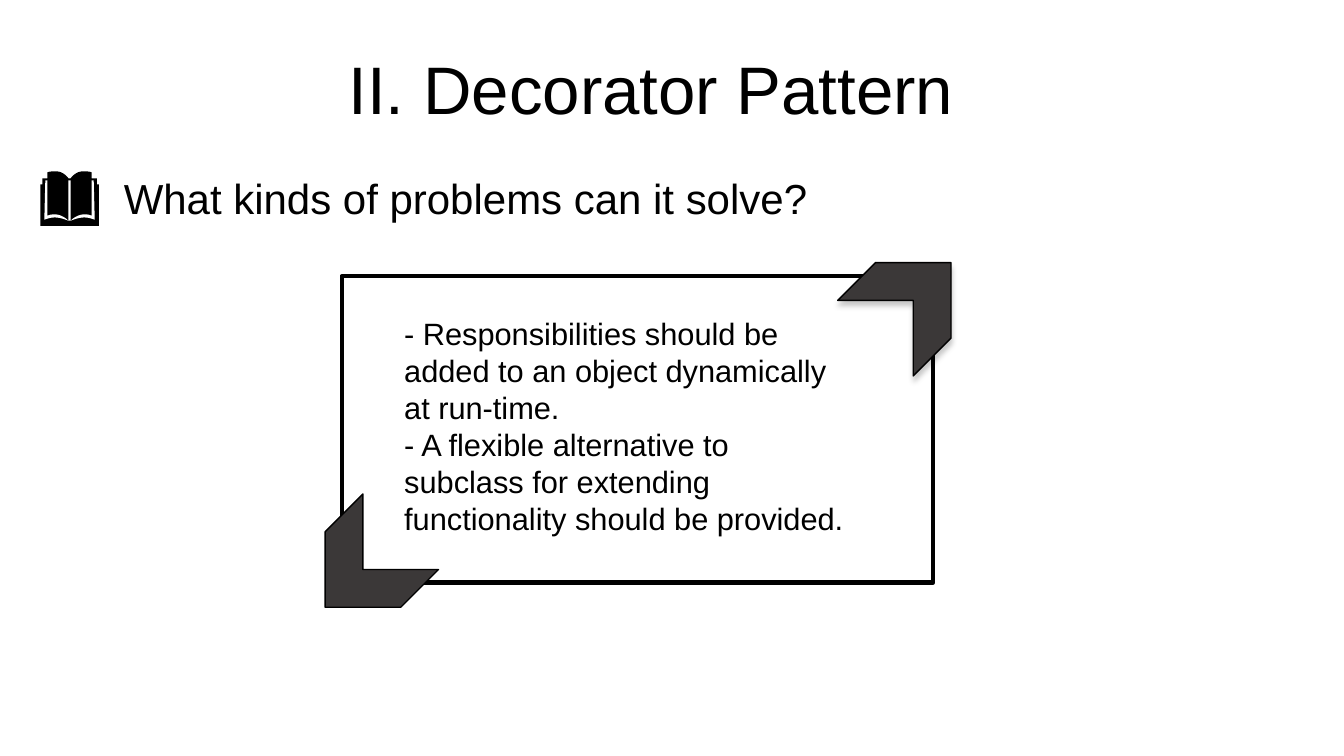
import pptx
import pptx.dml.color
import pptx.enum.shapes
import pptx.enum.text
import pptx.oxml
import pptx.oxml.ns
import pptx.util

# Content
TITLE = "II. Decorator Pattern"
QUESTION = "What kinds of problems can it solve?"
ANSWERS = [
    "- Responsibilities should be added to an object dynamically at run-time.",
    "- A flexible alternative to subclass for extending functionality should be provided.",
]

# Grid of tenths of an inch: left, top, width, height
CELL = pptx.util.Inches(0.1)
COLUMNS, ROWS = 133.33, 75
TITLE_AREA = (33.6, 3.7, 86.7, 10)
QUESTION_AREA = (11.3, 16.3, 86.7, 6.6)
FRAME_AREA = (33.9, 27.4, 58.7, 30.4)
ANSWERS_AREA = (39.1, 30.7, 46.8, 23.2)
CORNER_SIZE = 10.6
CORNERS = [  # left, top, rotation, has shadow
    (30.7, 51.2, 135, False),
    (85.3, 24.5, 315, True),
]

# Left half of the book; six numbers after a point make a curve
BOOK_SPINE = 6.9
BOOK_COVER = [
    (6.9, 17.7), (6.8, 17.7), (6.4, 17.2, 6.0, 17.0, 5.5, 17.0),
    (5.3, 17.0, 5.0, 17.0, 4.7, 17.1), (4.7, 17.7), (4.2, 17.7),
    (4.2, 18.3), (4.0, 18.3), (4.0, 22.4), (6.9, 22.4),
]
BOOK_GAP = [
    (6.9, 17.9), (6.8, 17.9), (6.8, 21.9),
    (6.2, 21.3, 5.4, 21.1, 4.7, 21.4), (4.7, 17.9), (4.5, 17.9),
    (4.4, 21.8), (5.4, 21.4, 6.0, 21.6, 6.8, 21.9), (6.9, 21.9),
]
CURVE_STEPS = 8

FONT = "Arial"
BLACK = pptx.dml.color.RGBColor(0x00, 0x00, 0x00)
WHITE = pptx.dml.color.RGBColor(0xFF, 0xFF, 0xFF)
CHARCOAL = pptx.dml.color.RGBColor(0x3B, 0x38, 0x38)
SHADOW = (
    f"<a:effectLst {pptx.oxml.ns.nsdecls('a')}>"
    '<a:outerShdw blurRad="50800" dist="50800" dir="5400000" rotWithShape="0">'
    '<a:srgbClr val="000000"><a:alpha val="22000"/></a:srgbClr>'
    "</a:outerShdw></a:effectLst>"
)


def cells(*lengths):
    return [int(length * CELL) for length in lengths]


def place(box, area):
    box.left, box.top, box.width, box.height = cells(*area)


def write(box, lines, size, anchor):
    frame = box.text_frame
    frame.word_wrap = True
    frame.auto_size = pptx.enum.text.MSO_AUTO_SIZE.NONE
    frame.vertical_anchor = anchor
    for index, line in enumerate(lines):
        paragraph = frame.add_paragraph() if index else frame.paragraphs[0]
        properties = paragraph._p.get_or_add_pPr()
        properties.set("marL", "0")
        properties.set("indent", "0")
        properties.append(pptx.oxml.parse_xml(f"<a:buNone {pptx.oxml.ns.nsdecls('a')}/>"))
        paragraph.alignment = pptx.enum.text.PP_ALIGN.LEFT
        paragraph.space_before = pptx.util.Pt(0)
        run = paragraph.add_run()
        run.text = line
        run.font.name = FONT
        run.font.size = pptx.util.Pt(size)
        run.font.color.rgb = BLACK


def paint(shape, fill, line=None, weight=0):
    shape.shadow.inherit = False
    shape.fill.solid()
    shape.fill.fore_color.rgb = fill
    if line is None:
        shape.line.fill.background()
    else:
        shape.line.color.rgb = line
        shape.line.width = pptx.util.Pt(weight)


def trace(steps):
    points = []
    for step in steps:
        if len(step) == 2:
            points.append(step)
            continue
        start, first, second, end = points[-1], step[:2], step[2:4], step[4:]
        for part in range(1, CURVE_STEPS + 1):
            t = part / CURVE_STEPS
            weights = ((1 - t) ** 3, 3 * t * (1 - t) ** 2, 3 * t * t * (1 - t), t ** 3)
            points.append(tuple(
                sum(weight * value for weight, value in zip(weights, axis))
                for axis in zip(start, first, second, end)
            ))
    return points


def draw_book_part(shapes, half, fill):
    left = trace(half)
    right = [(2 * BOOK_SPINE - x, y) for x, y in reversed(left)]
    points = [cells(*point) for point in left + right]
    builder = shapes.build_freeform(*points[0], scale=1.0)
    builder.add_line_segments(points[1:], close=True)
    paint(builder.convert_to_shape(), fill)


def main():
    deck = pptx.Presentation()
    deck.slide_width, deck.slide_height = cells(COLUMNS, ROWS)
    slide = deck.slides.add_slide(deck.slide_layouts[1])
    shapes = slide.shapes
    middle = pptx.enum.text.MSO_ANCHOR.MIDDLE

    # Title and question
    place(shapes.title, TITLE_AREA)
    write(shapes.title, [TITLE], 48, middle)
    question = shapes.add_textbox(*cells(*QUESTION_AREA))
    write(question, [QUESTION], 30, middle)

    # Book icon
    draw_book_part(shapes, BOOK_COVER, BLACK)
    draw_book_part(shapes, BOOK_GAP, WHITE)

    # Frame with its two corners
    kinds = pptx.enum.shapes.MSO_SHAPE
    frame = shapes.add_shape(kinds.RECTANGLE, *cells(*FRAME_AREA))
    paint(frame, WHITE, BLACK, 3)
    for left, top, rotation, has_shadow in CORNERS:
        corner = shapes.add_shape(kinds.CHEVRON, *cells(left, top, CORNER_SIZE, CORNER_SIZE))
        corner.rotation = rotation
        paint(corner, CHARCOAL, BLACK, 1)
        if has_shadow:
            plain = corner.element.spPr.find(pptx.oxml.ns.qn("a:effectLst"))
            corner.element.spPr.replace(plain, pptx.oxml.parse_xml(SHADOW))

    # Answers, brought in front of the frame
    answers = slide.placeholders[1]
    place(answers, ANSWERS_AREA)
    write(answers, ANSWERS, 22, pptx.enum.text.MSO_ANCHOR.TOP)
    answers.element.getparent().append(answers.element)

    deck.save("out.pptx")


if __name__ == "__main__":
    main()
